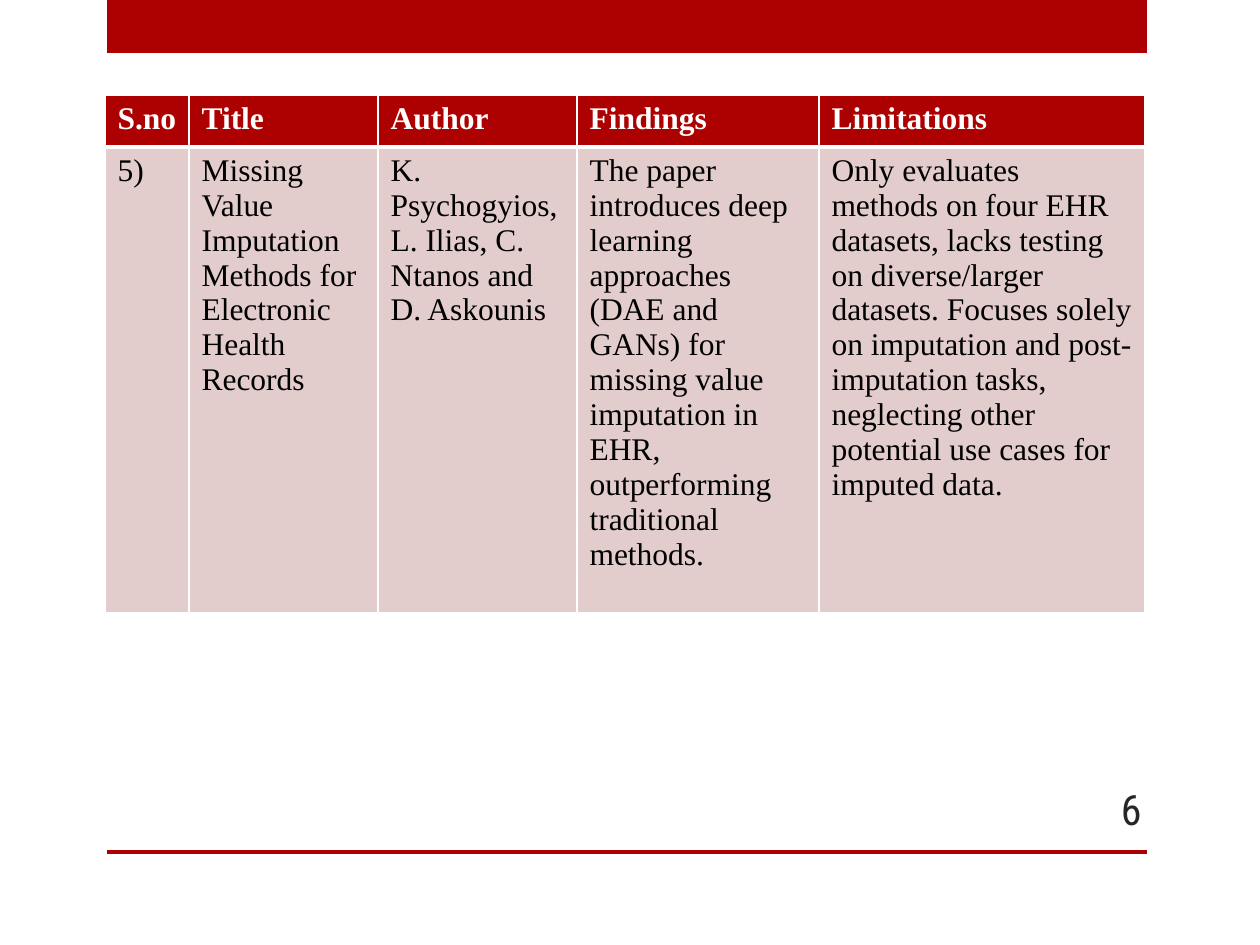
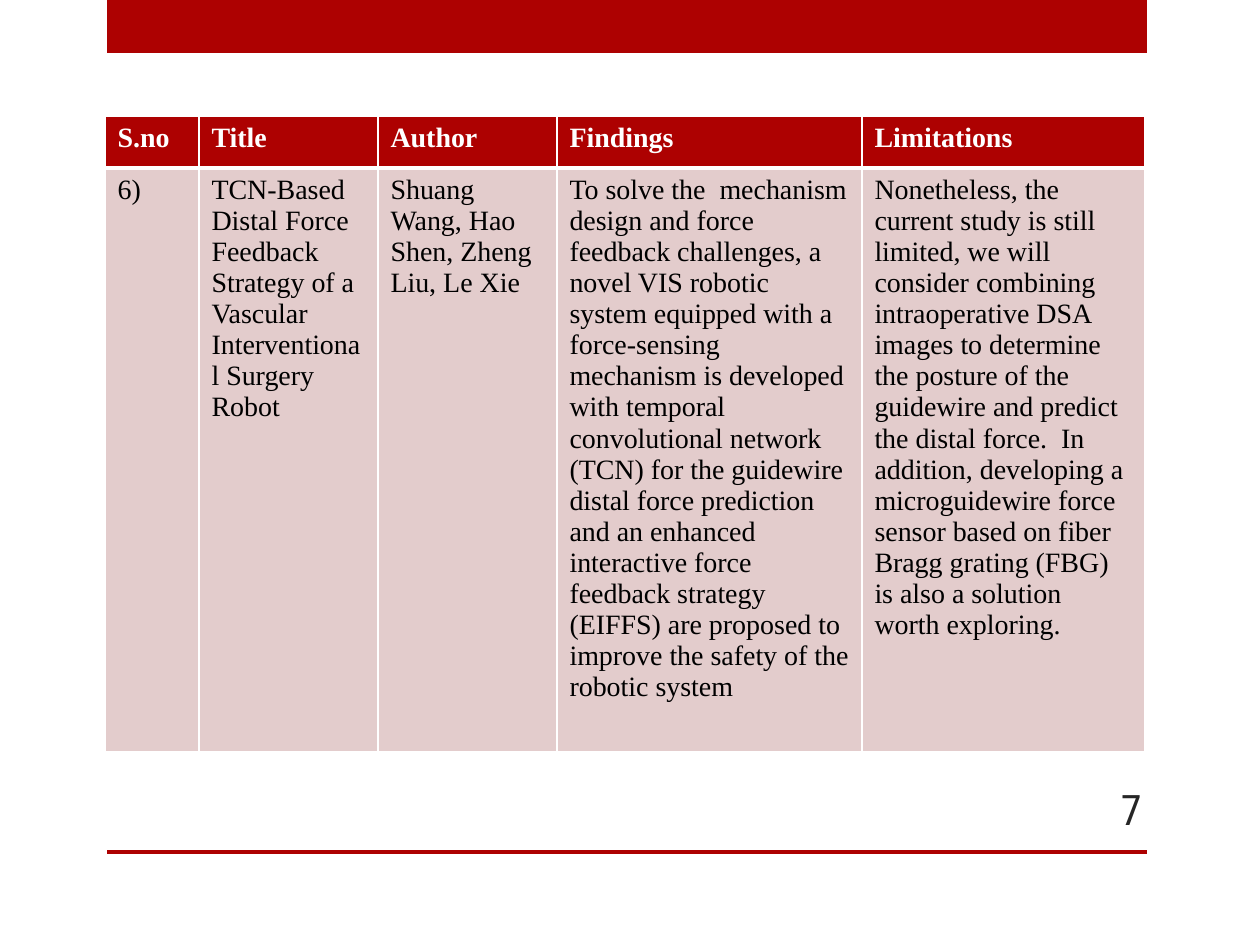
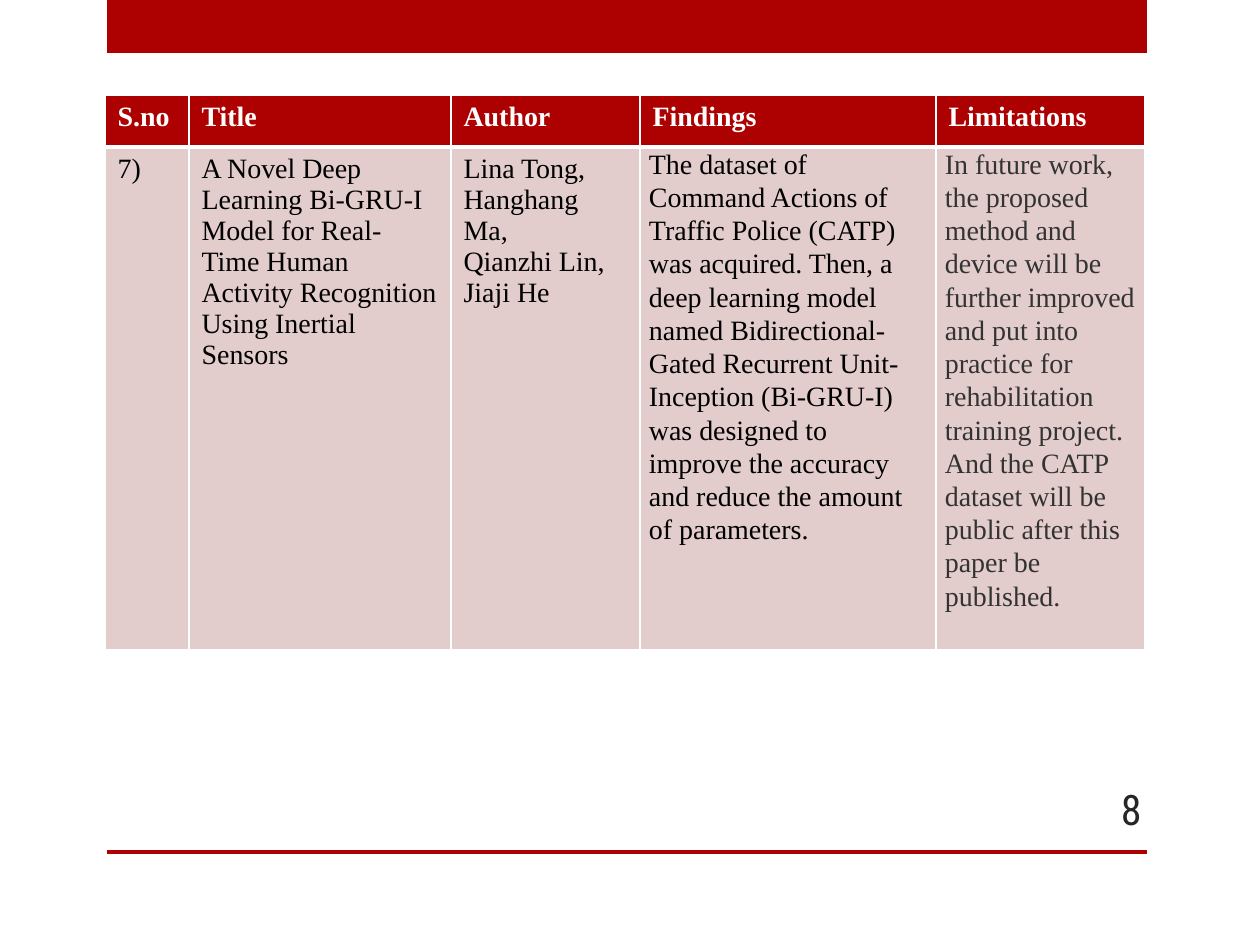
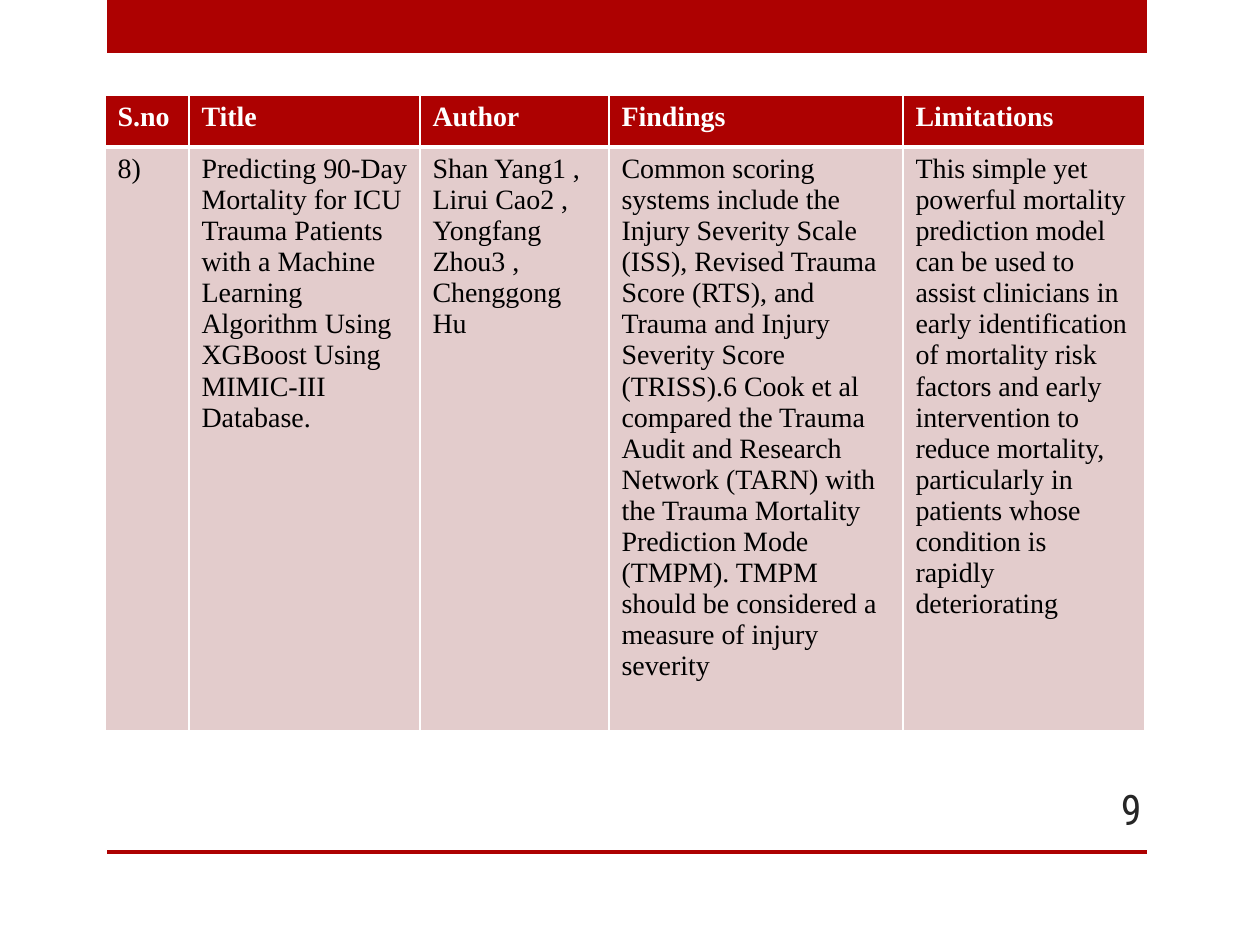
import pptx
import pptx.dml.color
import pptx.enum.shapes
import pptx.enum.text
import pptx.oxml.ns
import pptx.util
import lxml.etree

RGB = pptx.dml.color.RGBColor
RED = RGB(0xAD, 0x01, 0x01)
PINK = RGB(0xE3, 0xCC, 0xCC)
WHITE = RGB(0xFF, 0xFF, 0xFF)
BLACK = RGB(0x00, 0x00, 0x00)
DARK = RGB(0x26, 0x26, 0x26)
GREY = RGB(0x33, 0x33, 0x33)

SERIF = "Times New Roman"
SANS = "Roboto Condensed"
HEADS = ["S.no", "Title", "Author", "Findings", "Limitations"]
HEAD_H = 52
TIGHT = {"pad": (9, 0), "space": 1.07}

# One entry per slide: page number, table top, body row height, text size,
# column widths, body texts, and formats of single columns
PAGES = [
    dict(num=6, top=95, body=429, size=18, cols=[84, 189, 199, 242, 326], texts=[
        "5)",
        "Missing Value Imputation Methods for Electronic Health Records",
        "K. Psychogyios, L. Ilias, C. Ntanos and D. Askounis",
        "The paper introduces deep learning approaches (DAE and GANs) for missing "
        "value imputation in EHR, outperforming traditional methods.",
        "Only evaluates methods on four EHR datasets, lacks testing on diverse/larger "
        "datasets. Focuses solely on imputation and post-imputation tasks, neglecting "
        "other potential use cases for imputed data.",
    ]),
    dict(num=7, top=116, body=539, size=16, cols=[94, 179, 179, 305, 283], texts=[
        "6)",
        "TCN-Based Distal Force Feedback Strategy of a Vascular Interventional "
        "Surgery Robot",
        "Shuang Wang, Hao Shen, Zheng Liu, Le Xie",
        "To solve the  mechanism design and force feedback challenges, a novel VIS "
        "robotic system equipped with a force-sensing mechanism is developed with "
        "temporal convolutional network (TCN) for the guidewire distal force "
        "prediction and an enhanced interactive force feedback strategy (EIFFS) are "
        "proposed to improve the safety of the robotic system",
        "Nonetheless, the current study is still limited, we will consider combining "
        "intraoperative DSA images to determine the posture of the guidewire and "
        "predict the distal force.  In addition, developing a microguidewire force "
        "sensor based on fiber Bragg grating (FBG) is also a solution worth exploring.",
    ]),
    dict(num=8, top=95, body=463, size=16, cols=[84, 262, 189, 296, 209], texts=[
        "7)",
        "A Novel Deep Learning Bi-GRU-I Model for Real-Time Human Activity "
        "Recognition Using Inertial Sensors",
        "Lina Tong,\nHanghang Ma,\nQianzhi Lin,\nJiaji He",
        "The dataset of Command Actions of Traffic Police (CATP) was acquired. Then, "
        "a deep learning model named Bidirectional-Gated Recurrent Unit-Inception "
        "(Bi-GRU-I) was designed to improve the accuracy and reduce the amount of "
        "parameters.",
        "In future work, the proposed method and device will be further improved and "
        "put into practice for rehabilitation training project. And the CATP dataset "
        "will be public after this paper be published.",
    ], forms={3: TIGHT, 4: {**TIGHT, "color": GREY}}),
    dict(num=9, top=95, body=539, size=16, cols=[84, 231, 189, 294, 242], texts=[
        "8)",
        "Predicting 90-Day Mortality for ICU Trauma Patients with a Machine Learning "
        "Algorithm Using XGBoost Using MIMIC-III Database.",
        "Shan Yang1 , Lirui Cao2 , Yongfang Zhou3 , Chenggong Hu",
        "Common scoring systems include the Injury Severity Scale (ISS), Revised "
        "Trauma Score (RTS), and Trauma and Injury Severity Score (TRISS).6 Cook et "
        "al compared the Trauma Audit and Research Network (TARN) with the Trauma "
        "Mortality Prediction Mode (TMPM). TMPM should be considered a measure of "
        "injury severity",
        "This simple yet powerful mortality prediction model can be used to assist "
        "clinicians in early identification of mortality risk factors and early "
        "intervention to reduce mortality, particularly in patients whose condition "
        "is rapidly deteriorating",
    ]),
]


def px(n):
    return pptx.util.Emu(round(n * 914400 / 126))


def write(frame, text, font=SERIF, size=16, color=BLACK, bold=False,
          align=pptx.enum.text.PP_ALIGN.LEFT, space=None):
    """Fill a text frame, one paragraph for each line of text."""
    frame.word_wrap = True
    for i, line in enumerate(text.split("\n")):
        para = frame.add_paragraph() if i else frame.paragraphs[0]
        para.alignment = align
        if space:
            para.line_spacing = space
        run = para.add_run()
        run.text = line
        run.font.name = font
        run.font.size = pptx.util.Pt(size)
        run.font.bold = bold
        run.font.color.rgb = color


def bar(slide, box):
    shape = slide.shapes.add_shape(
        pptx.enum.shapes.MSO_SHAPE.RECTANGLE, *map(px, box))
    shape.shadow.inherit = False
    shape.fill.solid()
    shape.fill.fore_color.rgb = RED
    shape.line.fill.background()


def base(slide, box, num):
    """Top band, bottom rule and page number inside the box."""
    x, y, w, h = box
    bar(slide, (x, y, w, 53))
    bar(slide, (x, y + h - 4, w, 4))
    note = slide.shapes.add_textbox(
        *map(px, (x + w - 97, y + h - 70, 104, 50))).text_frame
    note.vertical_anchor = pptx.enum.text.MSO_ANCHOR.MIDDLE
    write(note, str(num), font=SANS, size=24, color=DARK,
          align=pptx.enum.text.PP_ALIGN.RIGHT)


def edge(cell, **sides):
    """White borders, given as points for L, R, T and B."""
    props = cell._tc.get_or_add_tcPr()
    for side, width in sides.items():
        line = lxml.etree.SubElement(
            props, pptx.oxml.ns.qn("a:ln" + side), w=str(pptx.util.Pt(width)))
        fill = lxml.etree.SubElement(line, pptx.oxml.ns.qn("a:solidFill"))
        lxml.etree.SubElement(fill, pptx.oxml.ns.qn("a:srgbClr"), val=str(WHITE))


def paint(cell, text, fill, pad=None, **form):
    cell.fill.solid()
    cell.fill.fore_color.rgb = fill
    if pad:
        cell.margin_left = cell.margin_right = px(pad[0])
        cell.margin_top = cell.margin_bottom = px(pad[1])
    write(cell.text_frame, text, **form)


def grid(slide, box, cols, texts, size, forms):
    """Table with a header row and one body row, filling the box."""
    table = slide.shapes.add_table(2, len(cols), *map(px, box)).table
    table.rows[0].height = px(HEAD_H)
    table.rows[1].height = px(box[3] - HEAD_H)
    for i, width in enumerate(cols):
        table.columns[i].width = px(width)
        head, body = table.cell(0, i), table.cell(1, i)
        edge(head, L=1, R=1, T=1, B=3)
        edge(body, L=1, R=1, T=3, B=1)
        paint(head, HEADS[i], RED, size=size, color=WHITE, bold=True)
        paint(body, texts[i], PINK, size=size, **forms.get(i, {}))


def main():
    deck = pptx.Presentation()
    deck.slide_width, deck.slide_height = px(1260), px(945)
    for page in PAGES:
        slide = deck.slides.add_slide(deck.slide_layouts[6])
        base(slide, (107, 0, 1040, 854), page["num"])
        box = (105, page["top"], sum(page["cols"]), HEAD_H + page["body"])
        grid(slide, box, page["cols"], page["texts"], page["size"],
             page.get("forms", {}))
    deck.save("out.pptx")


if __name__ == "__main__":
    main()
